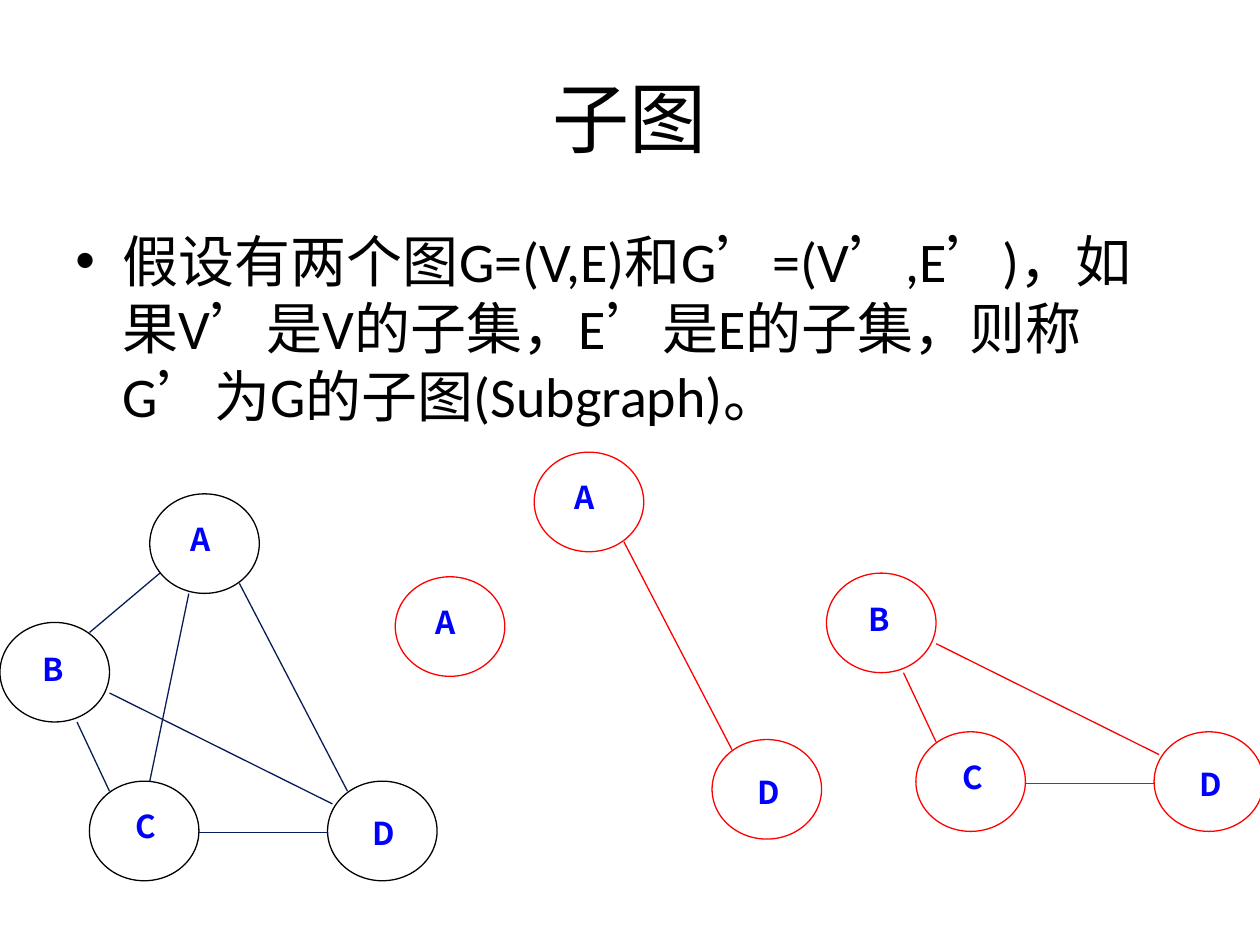
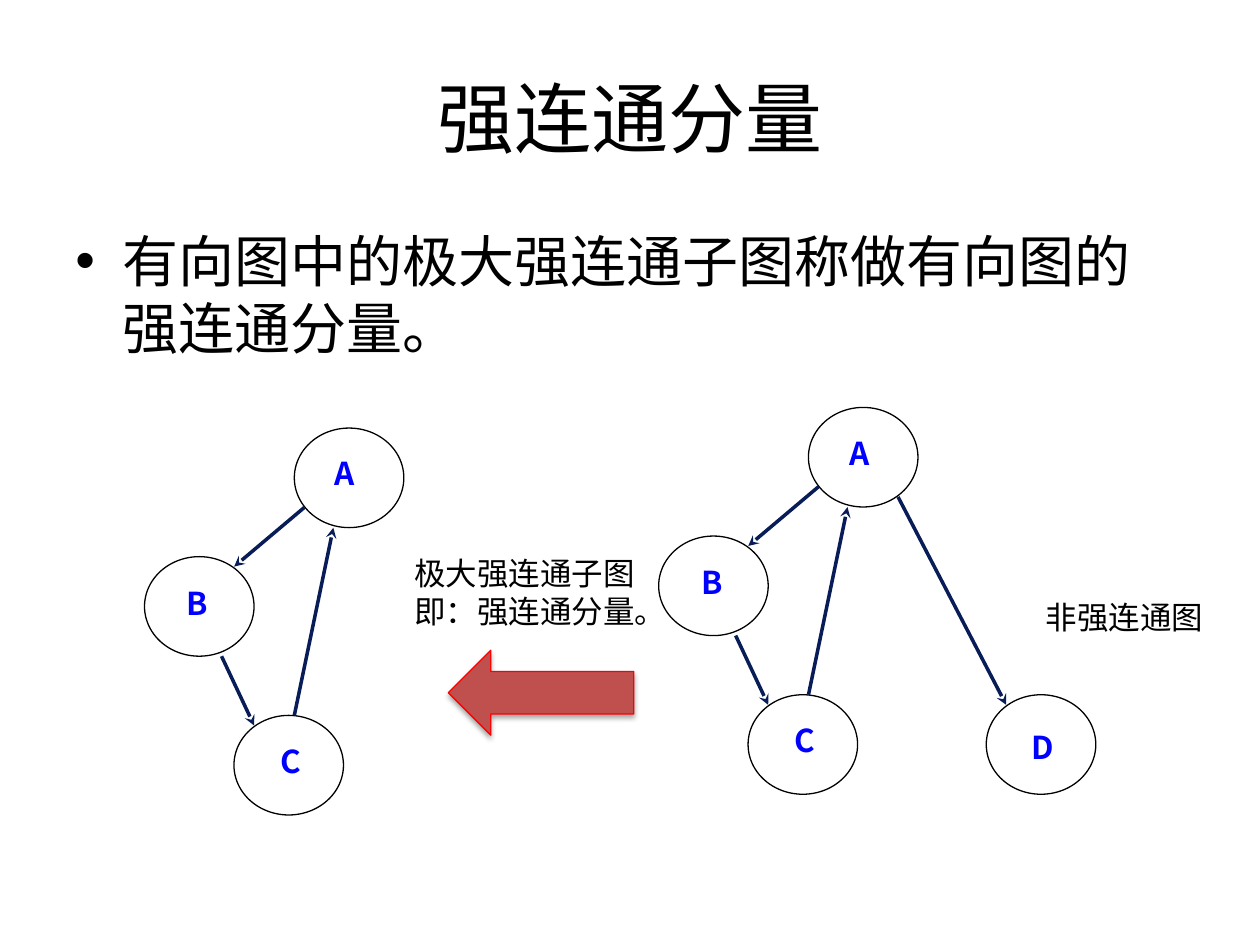
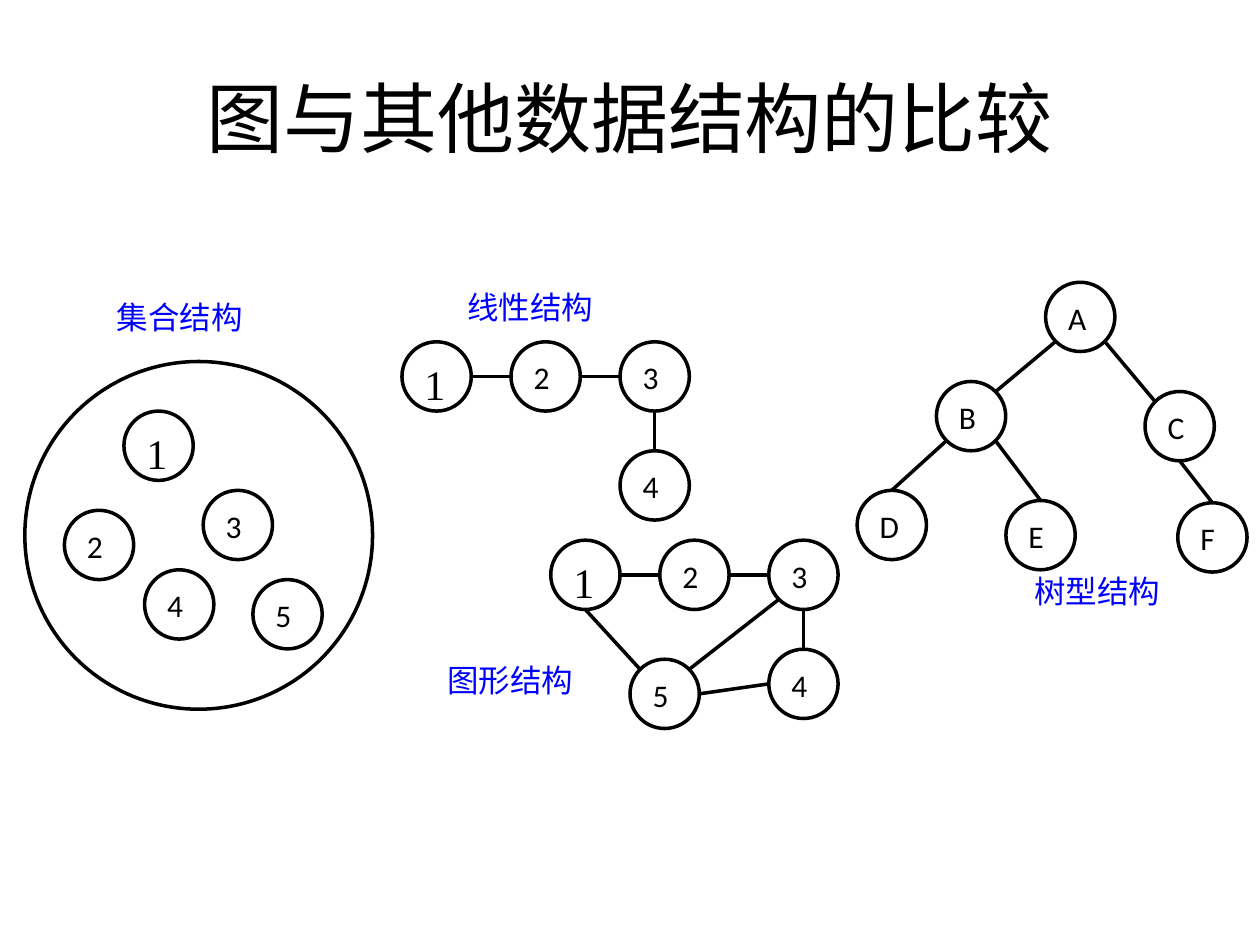
from lxml import etree
from pptx import Presentation
from pptx.dml.color import RGBColor
from pptx.enum.lang import MSO_LANGUAGE_ID
from pptx.enum.shapes import MSO_CONNECTOR, MSO_SHAPE
from pptx.enum.text import MSO_ANCHOR, MSO_AUTO_SIZE, PP_ALIGN
from pptx.oxml.ns import qn
from pptx.util import Pt

OVAL, LEFT_ARROW = MSO_SHAPE.OVAL, MSO_SHAPE.LEFT_ARROW
STRAIGHT = MSO_CONNECTOR.STRAIGHT
TOP, MIDDLE = MSO_ANCHOR.TOP, MSO_ANCHOR.MIDDLE
LEFT, CENTER = PP_ALIGN.LEFT, PP_ALIGN.CENTER
GROW = MSO_AUTO_SIZE.SHAPE_TO_FIT_TEXT
CHINESE = MSO_LANGUAGE_ID.SIMPLIFIED_CHINESE

BLACK = RGBColor(0x00, 0x00, 0x00)
BLUE = RGBColor(0x00, 0x00, 0xFF)
NAVY = RGBColor(0x08, 0x1D, 0x58)
RED = RGBColor(0xFF, 0x00, 0x00)
BRICK = RGBColor(0xC0, 0x50, 0x4D)

LATIN_FONT, CHINESE_FONT, SERIF_FONT = "Calibri", "Noto Sans CJK SC", "Times New Roman"
THIN, THICK = 0.75, 2

# The four-vertex graph: places relative to its top left corner
VERTEX_WIDTH, VERTEX_HEIGHT = 62.6, 56.9
VERTICES = {"A": (85.6, 0), "B": (0, 73.5), "C": (51.1, 164.2), "D": (187.2, 164.2)}
LABEL_OFFSETS = {"A": (15.3, 5), "B": (16.6, 5.6), "C": (18.6, 5), "D": (18.6, 9)}
EDGES = {
    "AB": (91.4, 45.3, 51.2, 79.2),
    "CA": (85.6, 164.2, 107.9, 57),
    "AD": (136.8, 51.2, 198.6, 170),
    "BC": (44, 130.4, 62.6, 170),
    "CD": (113.8, 193.7, 187.2, 193.7),
    "DB": (190, 177.2, 62.6, 113.8),
}

# Circles of the structure diagrams, with their joining points as fractions
CIRCLE = 39.6
CHAIN_STEP = 62.3
SITES = {
    "N": (0.5, 0), "NE": (0.85, 0.15), "E": (1, 0.5), "SE": (0.85, 0.85),
    "S": (0.5, 1), "SW": (0.15, 0.85), "W": (0, 0.5), "NW": (0.15, 0.15),
}


class Deck:
    """Holds the presentation, its style and the current slide."""

    def __init__(self):
        self.presentation = Presentation()
        self.presentation.slide_width = Pt(720)
        self.presentation.slide_height = Pt(540)
        self.slide = None

    def new_slide(self, title):
        self.slide = self.presentation.slides.add_slide(self.presentation.slide_layouts[6])
        self.text(title, 36, 21.6, 648, 90, size=44, align=CENTER, anchor=MIDDLE)

    def style(self, paragraph, size, color=BLACK, font=LATIN_FONT, bold=False):
        for run in paragraph.runs:
            run.font.size = Pt(size)
            run.font.bold = bold
            run.font.color.rgb = color
            run.font.name = font
            run.font.language_id = CHINESE
            properties = run._r.get_or_add_rPr()
            etree.SubElement(properties, qn("a:ea"), typeface=CHINESE_FONT)

    def text(self, text, left, top, width, height, size=18, align=LEFT, anchor=TOP,
             wrap=True, spacing=None, **font):
        box = self.slide.shapes.add_textbox(Pt(left), Pt(top), Pt(width), Pt(height))
        frame = box.text_frame
        frame.text = text
        frame.word_wrap = wrap
        frame.vertical_anchor = anchor
        if not wrap:
            frame.auto_size = GROW
        for paragraph in frame.paragraphs:
            paragraph.alignment = align
            paragraph.line_spacing = spacing
            self.style(paragraph, size, **font)
        return box

    def bullet(self, text):
        box = self.text(text, 36, 126, 648, 356.4, size=32)
        properties = box.text_frame.paragraphs[0]._p.get_or_add_pPr()
        properties.set("marL", str(Pt(27)))
        properties.set("indent", str(Pt(-27)))
        etree.SubElement(properties, qn("a:buFont"), typeface="Arial")
        etree.SubElement(properties, qn("a:buChar"), char="•")

    def caption(self, text, left, top, width, height=36, color=BLACK):
        self.text(text, left, top, width, height, wrap=False, color=color)

    def shape(self, kind, left, top, width, height, color=BLACK, weight=THIN, fill=None):
        shape = self.slide.shapes.add_shape(kind, Pt(left), Pt(top), Pt(width), Pt(height))
        shape.shadow.inherit = False
        shape.line.color.rgb = color
        shape.line.width = Pt(weight)
        if fill is None:
            shape.fill.background()
        else:
            shape.fill.solid()
            shape.fill.fore_color.rgb = fill
        return shape

    def block_arrow(self, left, top, width, height):
        arrow = self.shape(LEFT_ARROW, left, top, width, height, RED, fill=BRICK)
        effects = arrow._element.spPr.find(qn("a:effectLst"))
        shadow = etree.SubElement(effects, qn("a:outerShdw"), blurRad=str(Pt(3.1)),
                                  dist=str(Pt(1.8)), dir="5400000", rotWithShape="0")
        shade = etree.SubElement(shadow, qn("a:srgbClr"), val=str(BLACK))
        etree.SubElement(shade, qn("a:alpha"), val="35000")

    def line(self, start, end, color=BLACK, weight=THICK, arrow=False):
        points = [Pt(value) for value in (*start, *end)]
        connector = self.slide.shapes.add_connector(STRAIGHT, *points)
        connector.line.color.rgb = color
        connector.line.width = Pt(weight)
        if arrow:
            etree.SubElement(connector.line._get_or_add_ln(), qn("a:tailEnd"), type="stealth")
        etree.SubElement(connector._element.spPr, qn("a:effectLst"))

    def graph(self, left, top, vertices, edges=(), color=BLACK, edge_color=NAVY,
              weight=THIN, arrow=False):
        """Draws the named part of the four-vertex graph."""
        for name in vertices:
            x, y = left + VERTICES[name][0], top + VERTICES[name][1]
            self.shape(OVAL, x, y, VERTEX_WIDTH, VERTEX_HEIGHT, color)
            shift_x, shift_y = LABEL_OFFSETS[name]
            self.text(name, x + shift_x, y + shift_y, 27.4, 34.6, align=CENTER, wrap=False,
                      spacing=1.3, color=BLUE, font=CHINESE_FONT, bold=True)
        for name in edges:
            x1, y1, x2, y2 = EDGES[name]
            self.line((left + x1, top + y1), (left + x2, top + y2), edge_color, weight, arrow)

    def circles(self, places):
        for name, (left, top) in places.items():
            circle = self.shape(OVAL, left, top, CIRCLE, CIRCLE, weight=THICK)
            frame = circle.text_frame
            frame.text = name
            frame.vertical_anchor = TOP
            frame.paragraphs[0].alignment = LEFT
            size, font = (24, SERIF_FONT) if name == "1" else (18, LATIN_FONT)
            self.style(frame.paragraphs[0], size, font=font)

    def links(self, places, links):
        """Joins circles; each link is (circle, site, circle, site)."""
        def point(name, site):
            return [start + CIRCLE * part for start, part in zip(places[name], SITES[site])]

        for first, first_site, second, second_site in links:
            self.line(point(first, first_site), point(second, second_site))

    def chain(self, left, top, extra_places=None, extra_links=()):
        """Draws circles 1 to 3 in a row and 4 below 3, plus any extras."""
        right = left + 2 * CHAIN_STEP
        places = {"1": (left, top), "2": (left + CHAIN_STEP, top), "3": (right, top),
                  "4": (right, top + CHAIN_STEP), **(extra_places or {})}
        self.circles(places)
        self.links(places, [("1", "E", "2", "W"), ("2", "E", "3", "W"),
                            ("3", "S", "4", "N"), *extra_links])


def subgraph_slide(deck):
    deck.new_slide("子图")
    deck.bullet("假设有两个图G=(V,E)和G’=(V’,E’)，如果V’是V的子集，"
                "E’是E的子集，则称G’为G的子图(Subgraph)。")
    deck.graph(0, 282.2, "ABCD", EDGES)
    red = {"color": RED, "edge_color": RED}
    deck.graph(140.3, 329.6, "A", **red)
    deck.graph(219.7, 258.4, "AD", ["AD"], **red)
    deck.graph(472.3, 254, "BCD", ["BC", "CD", "DB"], **red)


def strong_component_slide(deck):
    deck.new_slide("强连通分量")
    deck.bullet("有向图中的极大强连通子图称做有向图的强连通分量。")
    deck.caption("极大强连通子图\n即：强连通分量。", 229.7, 313.2, 159.8, 51)
    directed = {"weight": THICK, "arrow": True}
    deck.graph(376.4, 232.8, "ABCD", ["AB", "CA", "AD", "BC"], **directed)
    deck.graph(82.6, 244.6, "ABC", ["AB", "CA", "BC"], **directed)
    deck.caption("非强连通图", 590.4, 338.4, 105.8, 29)
    deck.block_arrow(256.2, 371.6, 106, 48.5)


def comparison_slide(deck):
    deck.new_slide("图与其他数据结构的比较")
    deck.shape(OVAL, 14.2, 206.6, 198.7, 198.7, weight=THICK)
    deck.circles({"1": (70.8, 234.9), "2": (36.8, 291.6), "3": (116.1, 280.2),
                  "4": (82.6, 325.6), "5": (144.5, 331.2)})
    deck.chain(229.7, 195.3)
    deck.chain(314.7, 308.7, {"5": (360, 376.7)},
               [("1", "S", "5", "NW"), ("5", "E", "4", "W"), ("5", "NE", "3", "SW")])
    tree = {"A": (597.5, 161.3), "B": (535.1, 218), "C": (654.3, 223.7),
            "D": (489.8, 280.2), "E": (574.8, 286), "F": (673, 287.3)}
    deck.circles(tree)
    deck.links(tree, [("A", "SW", "B", "NE"), ("A", "SE", "C", "NW"), ("B", "SW", "D", "N"),
                      ("B", "SE", "E", "N"), ("C", "S", "F", "N")])
    for name, left, top in (("集合结构", 59.5, 167), ("线性结构", 260, 161.3),
                            ("图形结构", 248.5, 374.4), ("树型结构", 584, 323.3)):
        deck.caption(name, left, top, 111.6, color=BLUE)


def main():
    deck = Deck()
    subgraph_slide(deck)
    strong_component_slide(deck)
    comparison_slide(deck)
    deck.presentation.save("out.pptx")


if __name__ == "__main__":
    main()
